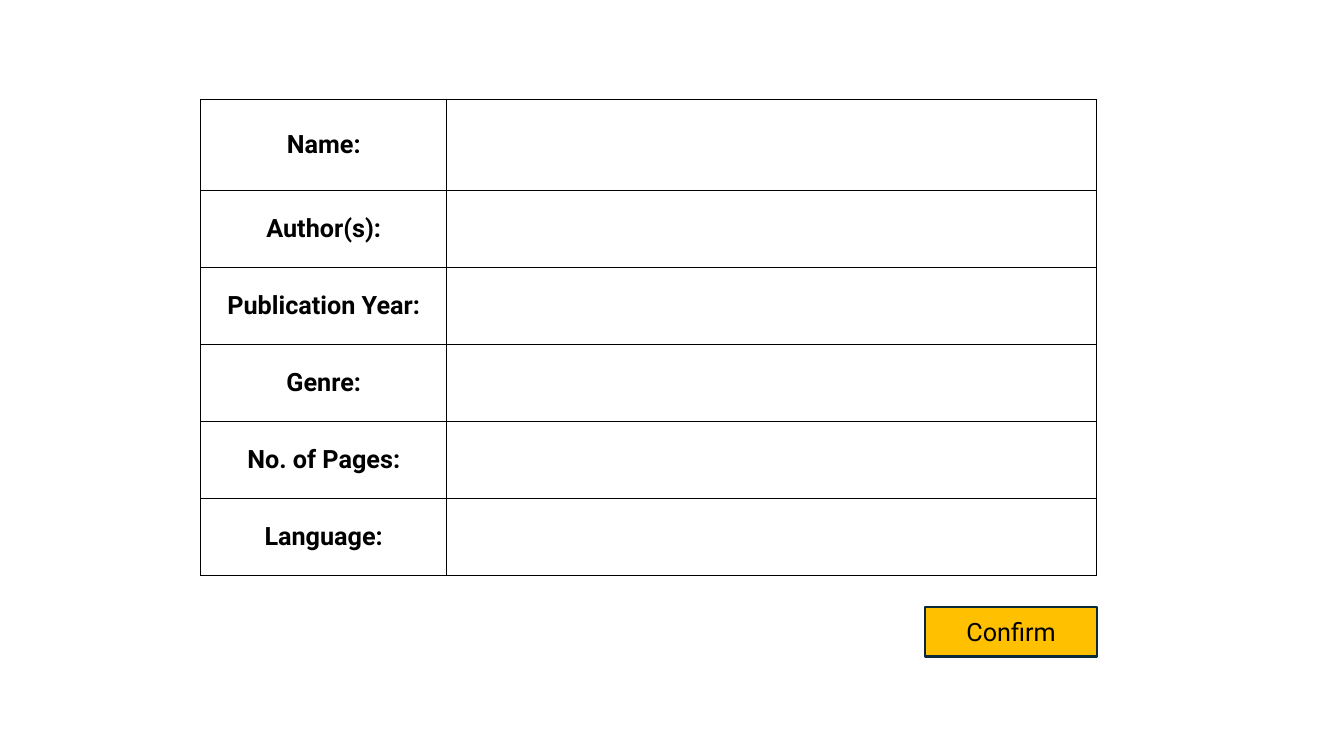
import pptx
import pptx.util
import pptx.dml.color
import pptx.enum.shapes
import pptx.enum.text
import pptx.oxml

Pt = pptx.util.Pt


def paint(hue):
    return pptx.dml.color.RGBColor.from_string(hue)


def write(frame, text, font="Roboto", size=18, hue="000000", bold=False):
    para = frame.paragraphs[0]
    para.alignment = pptx.enum.text.PP_ALIGN.CENTER
    run = para.add_run()
    run.text = text
    run.font.name = font
    run.font.size = Pt(size)
    run.font.bold = bold
    run.font.color.rgb = paint(hue)


class Form:
    """Draws the parts of a form on one slide in a shared style."""

    ink = "000000"
    paper = "FFFFFF"
    middle = pptx.enum.text.MSO_ANCHOR.MIDDLE

    def __init__(self, slide):
        self.slide = slide

    def edge(self, cell, width=1):
        props = cell._tc.get_or_add_tcPr()
        for place, side in enumerate(("lnL", "lnR", "lnT", "lnB")):
            props.insert(place, pptx.oxml.parse_xml(
                f'<a:{side} xmlns:a="http://schemas.openxmlformats.org/drawingml/2006/main" '
                f'w="{Pt(width)}"><a:solidFill><a:srgbClr val="{self.ink}"/></a:solidFill></a:{side}>'))

    def table(self, labels, left, top, widths, heights):
        grid = self.slide.shapes.add_table(
            len(heights), len(widths), Pt(left), Pt(top),
            Pt(sum(widths)), Pt(sum(heights))).table
        grid.first_row = grid.horz_banding = False
        for col, width in zip(grid.columns, widths):
            col.width = Pt(width)
        for row, height, label in zip(grid.rows, heights, labels):
            row.height = Pt(height)
            for cell in row.cells:
                cell.fill.solid()
                cell.fill.fore_color.rgb = paint(self.paper)
                cell.vertical_anchor = self.middle
                self.edge(cell)
            write(row.cells[0].text_frame, label, hue=self.ink, bold=True)

    def button(self, text, left, top, width, height, fill, line):
        box = self.slide.shapes.add_shape(
            pptx.enum.shapes.MSO_SHAPE.RECTANGLE,
            Pt(left), Pt(top), Pt(width), Pt(height))
        box.shadow.inherit = False
        box.fill.solid()
        box.fill.fore_color.rgb = paint(fill)
        box.line.color.rgb = paint(line)
        box.line.width = Pt(1.5)
        box.text_frame.vertical_anchor = self.middle
        write(box.text_frame, text, hue=self.ink)


def main():
    deck = pptx.Presentation()
    deck.slide_width, deck.slide_height = Pt(960), Pt(540)
    form = Form(deck.slides.add_slide(deck.slide_layouts[6]))
    labels = ["Name:", "Author(s):", "Publication Year:",
              "Genre:", "No. of Pages:", "Language:"]
    left, widths = 143.5, [175.5, 464.5]
    form.table(labels, left, 71, widths, [65] + [55] * 5)
    wide = 122.5
    form.button("Confirm", left + sum(widths) - wide, 433.5, wide, 35.5,
                fill="FFC000", line="092A39")
    deck.save("out.pptx")


if __name__ == "__main__":
    main()
